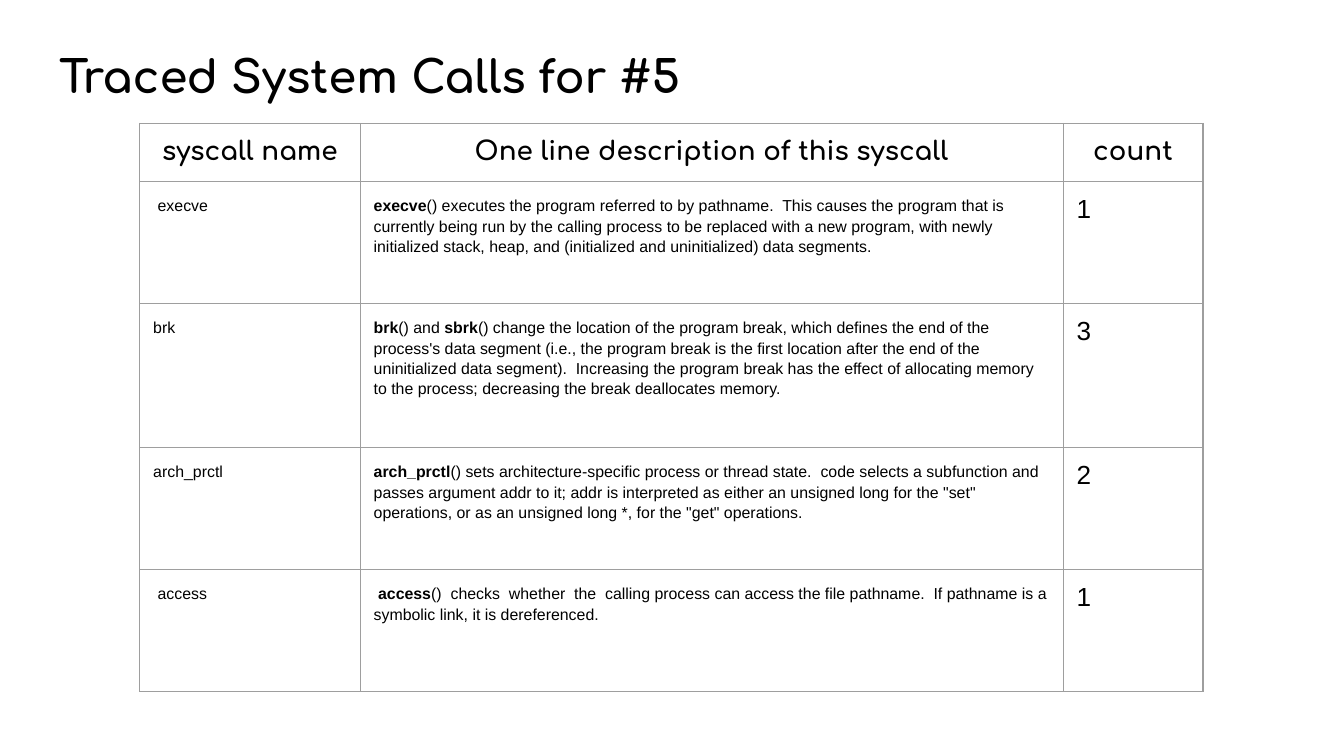
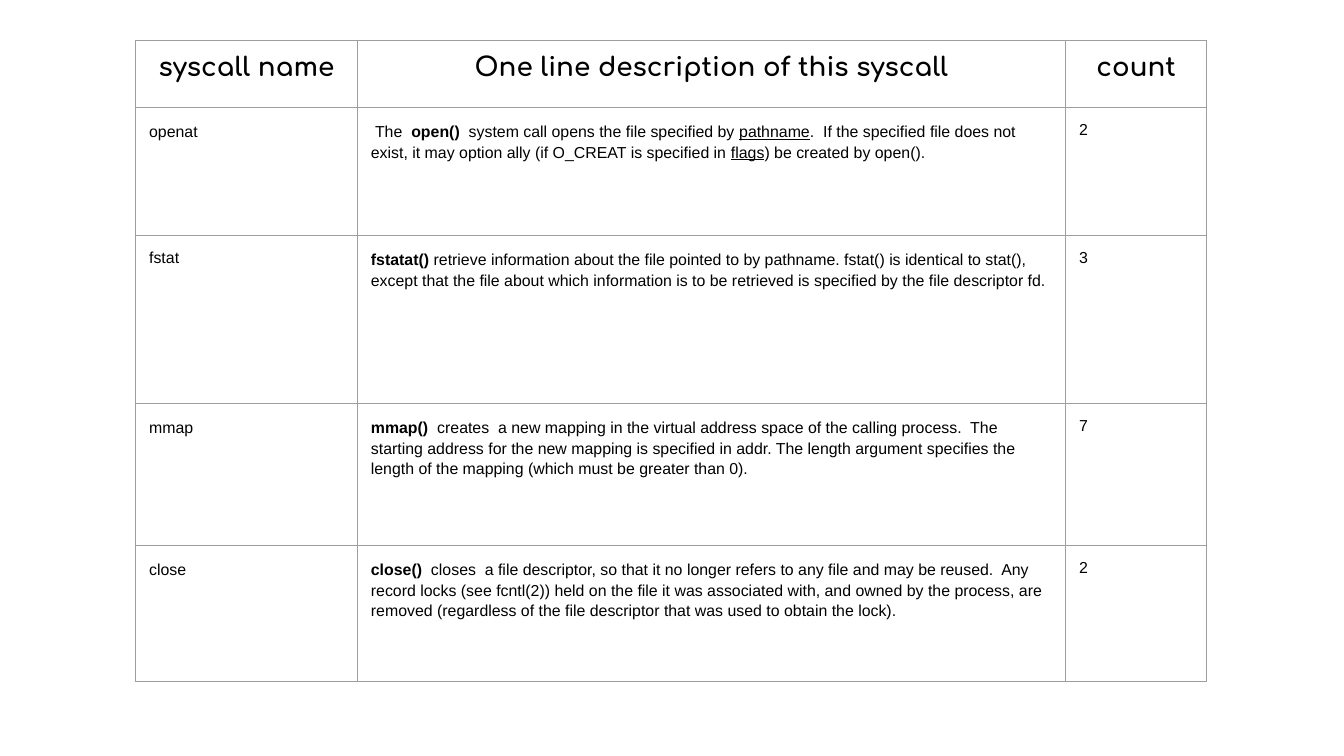
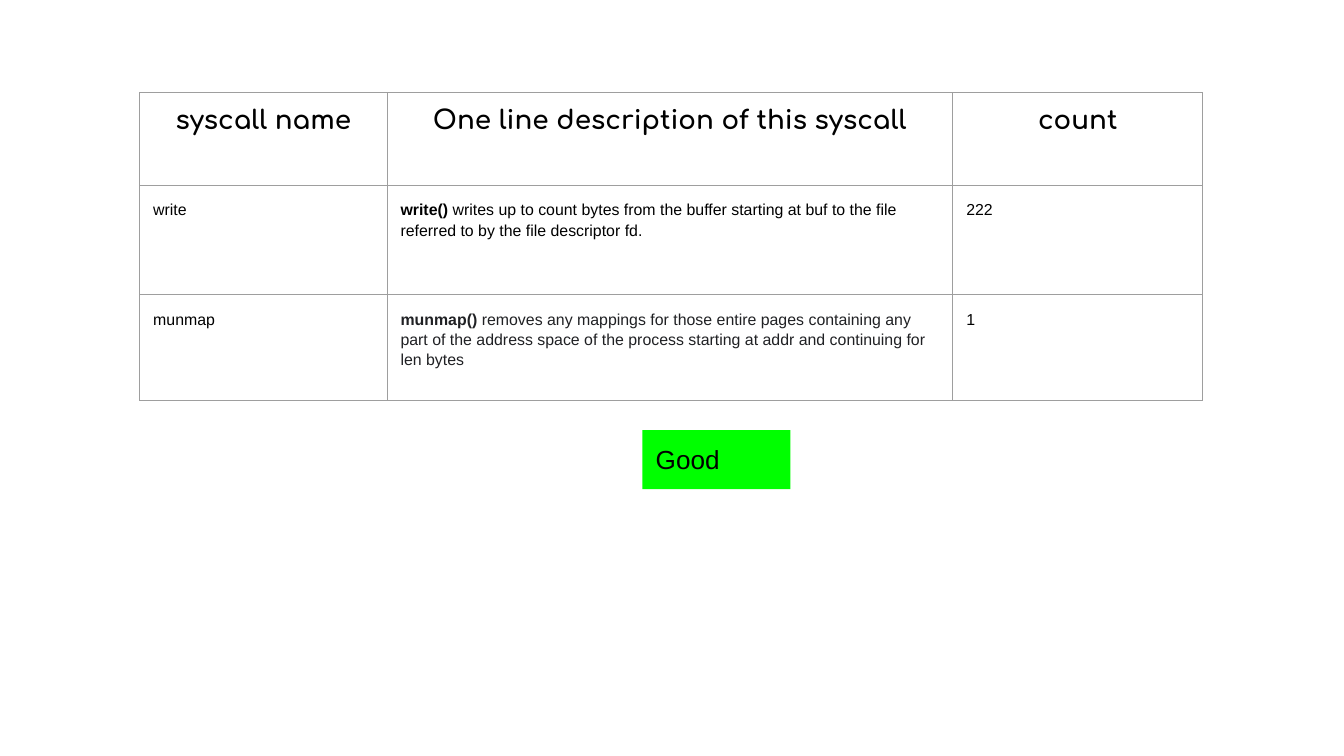
"""Build three slides of tables that describe traced system calls."""
import dataclasses

import lxml.etree
import pptx
import pptx.dml.color
import pptx.enum.shapes
import pptx.enum.text
import pptx.oxml.ns
import pptx.util

Pt = pptx.util.Pt
RGB = pptx.dml.color.RGBColor.from_string


@dataclasses.dataclass(frozen=True)
class Theme:
    heading_font: str = "Comfortaa"
    body_font: str = "Arial"
    ink: str = "000000"
    soft_ink: str = "202124"
    grid: str = "9E9E9E"
    verdict: str = "00FF00"
    title_size: float = 24
    heading_size: float = 14
    body_size: float = 8.5
    grid_width: float = 0.75
    inset: float = 7.2
    spacing: float = 1.15


THEME = Theme()
SLIDE_SIZE = (720, 405)
HEADINGS = ("syscall name", "One line description of this syscall", "count")
VERDICT = {"text": "Good", "box": (344.2, 230.4, 79.2, 31.7)}
TITLE_BOX = (24.5, 14.4, 671, 381.6)

SLIDES = [
    {
        "title": "Traced System Calls for #5",
        "corner": (74.9, 66.2),
        "columns": (118.1, 376.6, 74.9),
        "rows": (31, 65.4, 77.1, 65.4, 65.4),
        "count_size": THEME.heading_size,
        "single_spaced": ("1", "2", "3"),
        "calls": [
            (" execve", [
                ("execve", "bold"),
                ("() executes the program referred to by pathname.  This causes the program that is "
                 "currently being run by the calling process to be replaced with a new program, with "
                 "newly initialized stack, heap, and (initialized and uninitialized) data segments.", ""),
            ], "1"),
            ("brk", [
                ("brk", "bold"),
                ("() and ", ""),
                ("sbrk", "bold"),
                ("() change the location of the program break, which defines the end of the process's "
                 "data segment (i.e., the program break is the first location after the end of the "
                 "uninitialized data segment).  Increasing the program break has the effect of "
                 "allocating memory to the process; decreasing the break deallocates memory.", ""),
            ], "3"),
            ("arch_prctl", [
                ("arch_prctl", "bold"),
                ("() sets architecture-specific process or thread state.  code selects a subfunction "
                 "and passes argument addr to it; addr is interpreted as either an unsigned long for "
                 'the "set" operations, or as an unsigned long *, for the "get" operations.', ""),
            ], "2"),
            (" access", [
                (" ", ""),
                ("access", "bold"),
                ("()  checks  whether  the  calling process can access the file pathname.  If pathname "
                 "is a symbolic link, it is dereferenced.", ""),
            ], "1"),
        ],
    },
    {
        "corner": (72.7, 21.6),
        "columns": (118.8, 379.4, 75.6),
        "rows": (35.9, 68.6, 90, 76.1, 72.9),
        "count_size": THEME.body_size,
        "single_spaced": ("fstat", "2", "3", "7"),
        "calls": [
            ("openat", [
                (" The  ", ""),
                ("open()", "bold"),
                ("  system call opens the file specified by ", ""),
                ("pathname", "underline"),
                (".  If the specified file does not exist, it may option ally (if O_CREAT is "
                 "specified in ", ""),
                ("flags", "underline"),
                (") be created by open().", ""),
            ], "2"),
            ("fstat", [
                ("fstatat() ", "bold"),
                ("retrieve information about the file pointed to by pathname. fstat() is identical to "
                 "stat(), except that the file about which information is to be retrieved is specified "
                 "by the file descriptor fd.", ""),
            ], "3"),
            ("mmap", [
                ("mmap() ", "bold"),
                (" creates  a new mapping in the virtual address space of the calling process.  The "
                 "starting address for the new mapping is specified in addr. The length argument "
                 "specifies the length of the mapping (which must be greater than 0).", ""),
            ], "7"),
            ("close", [
                ("close() ", "bold"),
                (" closes  a file descriptor, so that it no longer refers to any file and may be "
                 "reused.  Any record locks (see fcntl(2)) held on the file it was associated with, "
                 "and owned by the process, are removed (regardless of the file descriptor that was "
                 "used to obtain the lock).", ""),
            ], "2"),
        ],
    },
    {
        "corner": (74.9, 49.7),
        "columns": (132.5, 303.1, 133.9),
        "rows": (49.6, 58.6, 56.5),
        "count_size": THEME.body_size,
        "single_spaced": (),
        "verdict": VERDICT,
        "calls": [
            ("write", [
                ("write() ", "bold"),
                ("writes up to count bytes from the buffer starting at buf to the file referred to by "
                 "the file descriptor fd.", ""),
            ], "222"),
            ("munmap", [
                ("munmap() ", "bold soft"),
                ("removes any mappings for those entire pages containing any part of the address space "
                 "of the process starting at addr and continuing for len bytes", "soft"),
            ], "1"),
        ],
    },
]


def set_insets(holder):
    for side in ("left", "right", "top", "bottom"):
        setattr(holder, f"margin_{side}", Pt(THEME.inset))


def write(frame, pieces, font, size, spacing=1.0, align=pptx.enum.text.PP_ALIGN.LEFT):
    paragraph = frame.paragraphs[0]
    paragraph.alignment = align
    paragraph.line_spacing = spacing
    for words, style in pieces:
        run = paragraph.add_run()
        run.text = words
        run.font.name, run.font.size = font, Pt(size)
        run.font.bold = "bold" in style
        run.font.underline = "underline" in style
        run.font.color.rgb = RGB(THEME.soft_ink if "soft" in style else THEME.ink)


def draw_grid(cell):
    properties = cell._tc.get_or_add_tcPr()
    for side in ("lnL", "lnR", "lnT", "lnB"):
        edge = lxml.etree.SubElement(
            properties, pptx.oxml.ns.qn(f"a:{side}"), w=str(Pt(THEME.grid_width)))
        fill = lxml.etree.SubElement(edge, pptx.oxml.ns.qn("a:solidFill"))
        lxml.etree.SubElement(fill, pptx.oxml.ns.qn("a:srgbClr"), val=THEME.grid)
    cell.fill.background()


def add_title(slide, words):
    title = slide.shapes.title
    title.left, title.top, title.width, title.height = map(Pt, TITLE_BOX)
    frame = title.text_frame
    frame.auto_size = pptx.enum.text.MSO_AUTO_SIZE.NONE
    frame.vertical_anchor = pptx.enum.text.MSO_ANCHOR.TOP
    set_insets(frame)
    write(frame, [(words, "bold")], THEME.heading_font, THEME.title_size, THEME.spacing)


def add_calls(slide, content):
    columns, rows = content["columns"], content["rows"]
    calls = slide.shapes.add_table(
        len(rows), len(columns), *map(Pt, content["corner"]), Pt(sum(columns)), Pt(sum(rows))).table
    calls.first_row = calls.horz_banding = False
    for column, width in zip(calls.columns, columns):
        column.width = Pt(width)
    for row, height in zip(calls.rows, rows):
        row.height = Pt(height)
    for cell in calls.iter_cells():
        set_insets(cell)
        draw_grid(cell)
    for column, heading in enumerate(HEADINGS):
        write(calls.cell(0, column).text_frame, [(heading, "bold")], THEME.heading_font,
              THEME.heading_size, align=pptx.enum.text.PP_ALIGN.CENTER)
    sizes = (THEME.body_size, THEME.body_size, content["count_size"])
    for row, (name, description, count) in enumerate(content["calls"], 1):
        for column, pieces in enumerate(([(name, "")], description, [(count, "")])):
            single = pieces[0][0] in content["single_spaced"]
            write(calls.cell(row, column).text_frame, pieces, THEME.body_font, sizes[column],
                  1.0 if single else THEME.spacing)


def add_verdict(slide, verdict):
    badge = slide.shapes.add_shape(
        pptx.enum.shapes.MSO_SHAPE.RECTANGLE, *map(Pt, verdict["box"]))
    badge.shadow.inherit = False
    badge.fill.solid()
    badge.fill.fore_color.rgb = RGB(THEME.verdict)
    badge.line.fill.background()
    frame = badge.text_frame
    frame.word_wrap = True
    frame.auto_size = pptx.enum.text.MSO_AUTO_SIZE.SHAPE_TO_FIT_TEXT
    frame.vertical_anchor = pptx.enum.text.MSO_ANCHOR.TOP
    set_insets(frame)
    write(frame, [(verdict["text"], "")], THEME.body_font, THEME.heading_size)


def main():
    deck = pptx.Presentation()
    deck.slide_width, deck.slide_height = map(Pt, SLIDE_SIZE)
    title_only, blank = deck.slide_layouts[5], deck.slide_layouts[6]
    for content in SLIDES:
        slide = deck.slides.add_slide(title_only if "title" in content else blank)
        if "title" in content:
            add_title(slide, content["title"])
        add_calls(slide, content)
        if "verdict" in content:
            add_verdict(slide, content["verdict"])
    deck.save("out.pptx")


if __name__ == "__main__":
    main()
